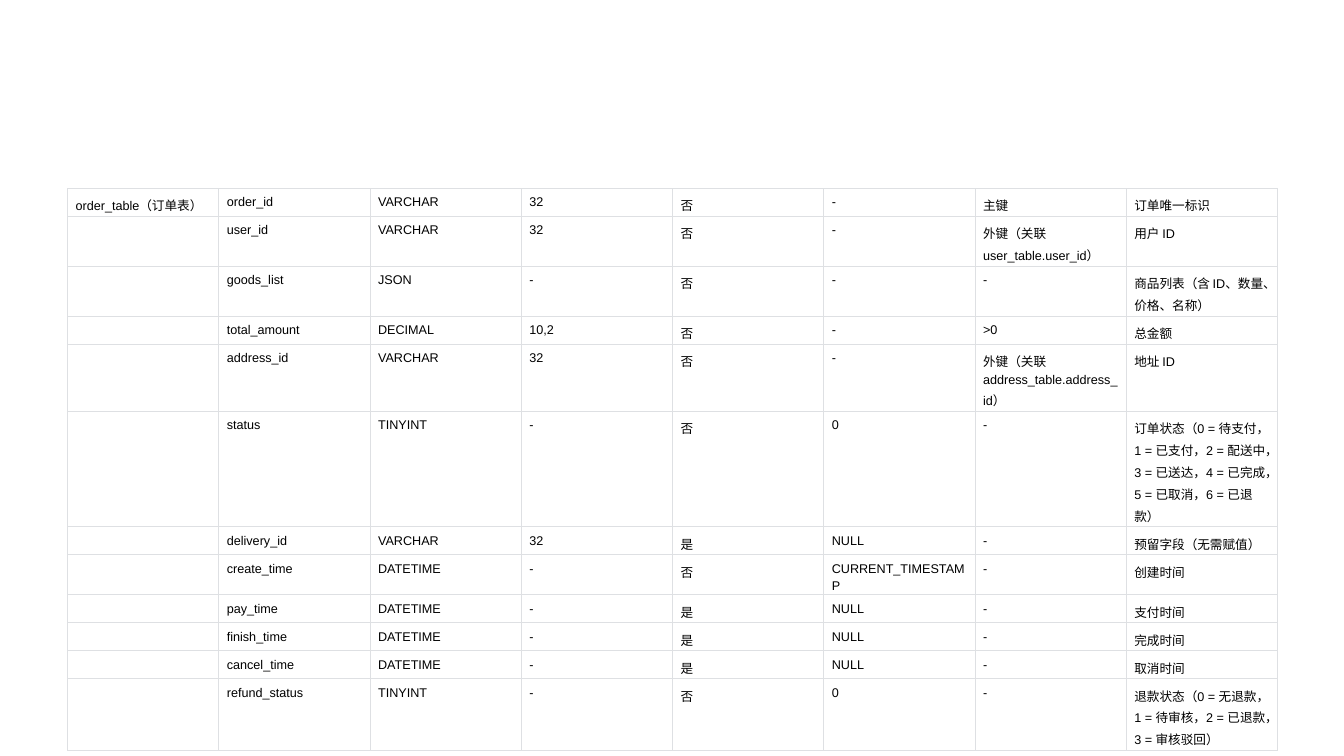
"""Build a slide with the field definitions of the order table."""
from itertools import product

from lxml.etree import SubElement as Sub
from pptx import Presentation
from pptx.dml.color import RGBColor as RGB
from pptx.oxml.ns import qn
from pptx.util import Inches, Pt

THEME = {"latin": "Arial", "cjk": "Noto Sans CJK SC", "size": 9,
         "text": "000000", "border": "DEE0E3", "border_pt": 0.75, "spacing": 1.2}

TABLE_NAME = "order_table（订单表）"
FIELDS = [
    ("order_id", "VARCHAR", "32", "否", "-", "主键", "订单唯一标识"),
    ("user_id", "VARCHAR", "32", "否", "-", "外键（关联 user_table.user_id）", "用户 ID"),
    ("goods_list", "JSON", "-", "否", "-", "-", "商品列表（含 ID、数量、价格、名称）"),
    ("total_amount", "DECIMAL", "10,2", "否", "-", ">0", "总金额"),
    ("address_id", "VARCHAR", "32", "否", "-", "外键（关联 address_table.address_id）", "地址 ID"),
    ("status", "TINYINT", "-", "否", "0", "-",
     "订单状态（0 = 待支付，1 = 已支付，2 = 配送中，3 = 已送达，4 = 已完成，5 = 已取消，6 = 已退款）"),
    ("delivery_id", "VARCHAR", "32", "是", "NULL", "-", "预留字段（无需赋值）"),
    ("create_time", "DATETIME", "-", "否", "CURRENT_TIMESTAMP", "-", "创建时间"),
    ("pay_time", "DATETIME", "-", "是", "NULL", "-", "支付时间"),
    ("finish_time", "DATETIME", "-", "是", "NULL", "-", "完成时间"),
    ("cancel_time", "DATETIME", "-", "是", "NULL", "-", "取消时间"),
    ("refund_status", "TINYINT", "-", "否", "0", "-",
     "退款状态（0 = 无退款，1 = 待审核，2 = 已退款，3 = 审核驳回）"),
]
ROW_HEIGHTS = [0.22, 0.39, 0.39, 0.22, 0.39, 0.74, 0.22, 0.22, 0.22, 0.22, 0.22, 0.56]
LEFT, TOP, COL_WIDTH = 0.67, 1.87, 1.5
MARGINS = {"margin_left": 0.08, "margin_top": 0.04, "margin_right": 0.08, "margin_bottom": 0.02}


def split_scripts(text):
    """Return (is_cjk, piece) pairs; a space stays with the piece before it."""
    pieces = []
    for ch in text:
        cjk = pieces[-1][0] if ch == " " else ord(ch) > 0x2E80
        if pieces and pieces[-1][0] == cjk:
            pieces[-1][1] += ch
        else:
            pieces.append([cjk, ch])
    return pieces


def write_text(cell, text):
    """Write text with a font for each script."""
    p = cell.text_frame.paragraphs[0]
    p.line_spacing = THEME["spacing"]
    p.font.size = Pt(THEME["size"])
    p.font.color.rgb = RGB.from_string(THEME["text"])
    for cjk, piece in split_scripts(text):
        r = p.add_run()
        r.text = piece
        r.font.name = THEME["cjk" if cjk else "latin"]
        if cjk:
            Sub(r.font._element, qn("a:ea"), typeface=THEME["cjk"])
    if not text:
        Sub(p._p, qn("a:endParaRPr"), sz=str(THEME["size"] * 100))


def style_cell(cell):
    """Set margins, borders and an empty fill."""
    for side, value in MARGINS.items():
        setattr(cell, side, Inches(value))
    tc_pr = cell._tc.get_or_add_tcPr()
    for side in "LRTB":
        ln = Sub(tc_pr, qn(f"a:ln{side}"), w=str(Pt(THEME["border_pt"])))
        Sub(Sub(ln, qn("a:solidFill")), qn("a:srgbClr"), val=THEME["border"])
    cell.fill.background()


def main():
    """Create and save the slide."""
    prs = Presentation()
    prs.slide_width, prs.slide_height = Inches(13.33), Inches(7.5)
    s = prs.slides.add_slide(prs.slide_layouts[6])
    rows = [(TABLE_NAME if i == 0 else "", *field) for i, field in enumerate(FIELDS)]
    n_rows, n_cols = len(rows), len(rows[0])
    table = s.shapes.add_table(n_rows, n_cols, Inches(LEFT), Inches(TOP),
                               Inches(COL_WIDTH * n_cols), Inches(sum(ROW_HEIGHTS))).table
    table.first_row = table.horz_banding = False
    for row, height in zip(table.rows, ROW_HEIGHTS):
        row.height = Inches(height)
    for col in table.columns:
        col.width = Inches(COL_WIDTH)
    for i, j in product(range(n_rows), range(n_cols)):
        cell = table.cell(i, j)
        style_cell(cell)
        write_text(cell, rows[i][j])
    prs.save("out.pptx")


if __name__ == "__main__":
    main()
